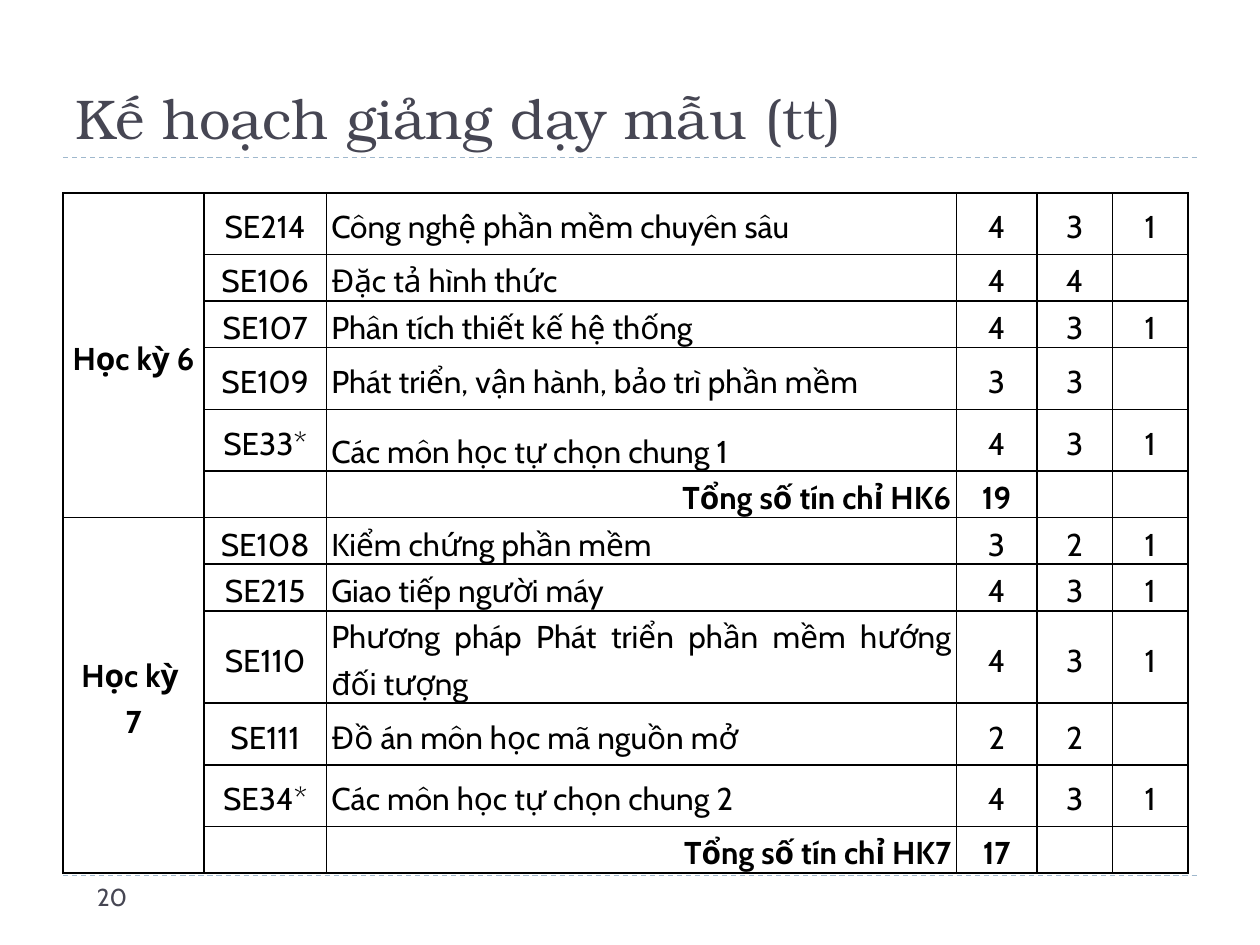
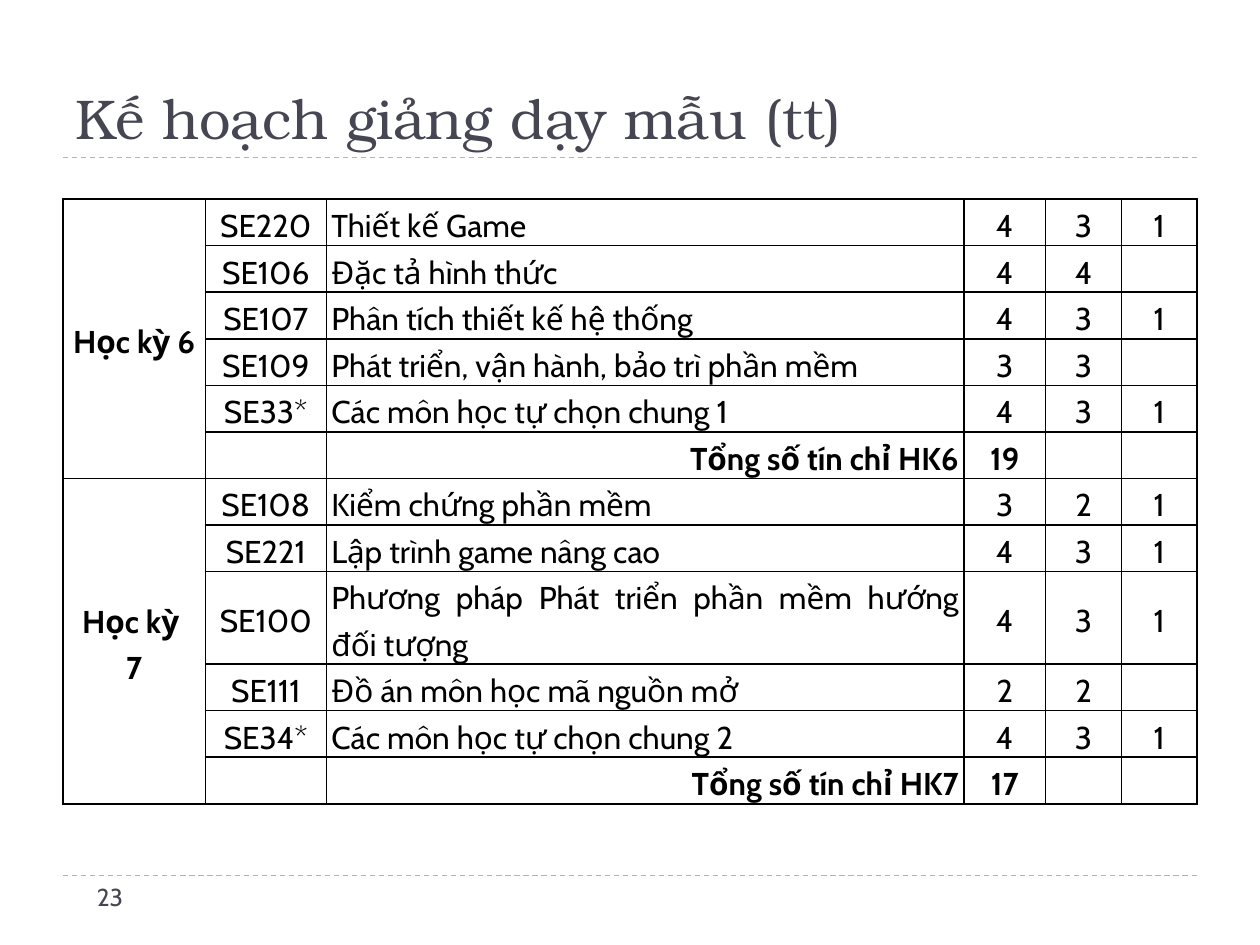
from lxml import etree
from pptx import Presentation
from pptx.dml.color import RGBColor
from pptx.enum.dml import MSO_LINE
from pptx.enum.shapes import MSO_CONNECTOR
from pptx.enum.text import MSO_ANCHOR as Anchor, PP_ALIGN as Align
from pptx.oxml import parse_xml
from pptx.oxml.ns import nsdecls, qn
from pptx.util import Inches, Pt

COLORS = {"ink": "464653", "rule": "9FB8CD", "grid": "000000"}
TITLE_FONT = "TeX Gyre Bonum"
BODY_FONT = "Cabin"
TITLE = "Kế hoạch giảng dạy mẫu (tt)"
RULE_TOPS = [1.25, 6.95]

FORMAL = ("SE106", "Đặc tả hình thức", "4", "4", "")
DESIGN = ("SE107", "Phân tích thiết kế hệ thống ", "4", "3", "1")
OPERATION = ("SE109", "Phát triển, vận hành, bảo trì phần mềm", "3", "3", "")
ELECTIVE_1 = ("SE33*", "Các môn học tự chọn chung 1", "4", "3", "1")
TOTAL_6 = ("", "Tổng số tín chỉ HK6", "19", "", "")
TESTING = ("SE108", "Kiểm chứng phần mềm", "3", "2", "1")
OBJECT_METHOD = ("Phương pháp Phát triển phần mềm hướng đối tượng", "4", "3", "1")
OPEN_SOURCE = ("SE111", "Đồ án môn học mã nguồn mở", "2", "2", "")
ELECTIVE_2 = ("SE34*", "Các môn học tự chọn chung 2", "4", "3", "1")
TOTAL_7 = ("", "Tổng số tín chỉ HK7", "17", "", "")

TERMS = [["Học kỳ 6"], ["Học kỳ ", "7"]]
TERM_ROWS = 6
LOW, HIGH, DOUBLE = 0.37, 0.49, 0.73

PLANS = [
    {
        "number": "20",
        "top": 1.53,
        "columns": [1.12, 0.97, 5, 0.64, 0.6, 0.6],
        "rows": [HIGH, LOW, LOW, HIGH, HIGH, LOW,
                 LOW, LOW, DOUBLE, HIGH, HIGH, LOW],
        "first": ("SE214", "Công nghệ phần mềm chuyên sâu", "4", "3", "1"),
        "special": ("SE215", "Giao tiếp người máy", "4", "3", "1"),
        "method": "SE110",
    },
    {
        "number": "23",
        "top": 1.58,
        "columns": [1.13, 0.96, 5.06, 0.65, 0.6, 0.6],
        "rows": [LOW] * 8 + [DOUBLE] + [LOW] * 3,
        "first": ("SE220", "Thiết kế Game", "4", "3", "1"),
        "special": ("SE221", "Lập trình game nâng cao", "4", "3", "1"),
        "method": "SE100",
    },
]


def add_span(para, text, font, size, color, bold=False):
    span = para.add_run()
    span.text = text
    span.font.name = font
    span.font.size = Pt(size)
    span.font.bold = bold
    span.font.color.rgb = RGBColor.from_string(COLORS[color])


def fill_cell(cell, lines, align, bold):
    cell.vertical_anchor = Anchor.MIDDLE
    cell.margin_left = cell.margin_right = Inches(0.04)
    cell.margin_top = cell.margin_bottom = 0
    for index, line in enumerate(lines):
        para = cell.text_frame.paragraphs[0] if index == 0 else cell.text_frame.add_paragraph()
        para.alignment = align
        para.line_spacing = 1.2
        if line:
            add_span(para, line, BODY_FONT, 18, "grid", bold)


deck = Presentation()
deck.slide_width = Inches(10)
deck.slide_height = Inches(7.5)

for plan in PLANS:
    page = deck.slides.add_slide(deck.slide_layouts[5])

    title = page.shapes.title
    title.left, title.top = Inches(0.5), Inches(0.17)
    title.width, title.height = Inches(9), Inches(1.08)
    title.text_frame.vertical_anchor = Anchor.BOTTOM
    para = title.text_frame.paragraphs[0]
    para.alignment = Align.LEFT
    add_span(para, TITLE, TITLE_FONT, 32, "ink")

    for top in RULE_TOPS:
        rule = page.shapes.add_connector(
            MSO_CONNECTOR.STRAIGHT, Inches(0.5), Inches(top), Inches(9.5), Inches(top))
        rule.line.color.rgb = RGBColor.from_string(COLORS["rule"])
        rule.line.width = Pt(0.75)
        rule.line.dash_style = MSO_LINE.DASH
        etree.SubElement(rule._element.spPr, qn("a:effectLst"))

    courses = [
        plan["first"], FORMAL, DESIGN, OPERATION, ELECTIVE_1, TOTAL_6,
        TESTING, plan["special"], (plan["method"], *OBJECT_METHOD),
        OPEN_SOURCE, ELECTIVE_2, TOTAL_7,
    ]
    table = page.shapes.add_table(
        len(courses), len(plan["columns"]), Inches(0.5), Inches(plan["top"]),
        Inches(sum(plan["columns"])), Inches(sum(plan["rows"]))).table
    table.first_row = table.horz_banding = False
    for column, width in zip(table.columns, plan["columns"]):
        column.width = Inches(width)
    for row, height in zip(table.rows, plan["rows"]):
        row.height = Inches(height)

    for cell in table.iter_cells():
        cell.fill.background()
        properties = cell._tc.get_or_add_tcPr()
        for index, side in enumerate(["lnL", "lnR", "lnT", "lnB"]):
            properties.insert(index, parse_xml(
                f'<a:{side} {nsdecls("a")} w="12700"><a:solidFill>'
                f'<a:srgbClr val="{COLORS["grid"]}"/></a:solidFill></a:{side}>'))

    for index, lines in enumerate(TERMS):
        first = index * TERM_ROWS
        term = table.cell(first, 0)
        term.merge(table.cell(first + TERM_ROWS - 1, 0))
        fill_cell(term, lines, Align.CENTER, True)

    for row, course in enumerate(courses):
        is_total = course in (TOTAL_6, TOTAL_7)
        for column, text in enumerate(course, start=1):
            align = Align.CENTER
            if column == 2:
                align = Align.RIGHT if is_total else Align.JUSTIFY
            fill_cell(table.cell(row, column), [text], align, is_total)
    elective = table.cell(courses.index(ELECTIVE_1), 2)
    elective.vertical_anchor = Anchor.BOTTOM
    elective.text_frame.paragraphs[0].alignment = Align.LEFT

    box = page.shapes.add_textbox(Inches(0.67), Inches(6.95), Inches(2.17), Inches(0.4))
    box.text_frame.word_wrap = True
    add_span(box.text_frame.paragraphs[0], plan["number"], BODY_FONT, 14, "ink")

deck.save("out.pptx")
